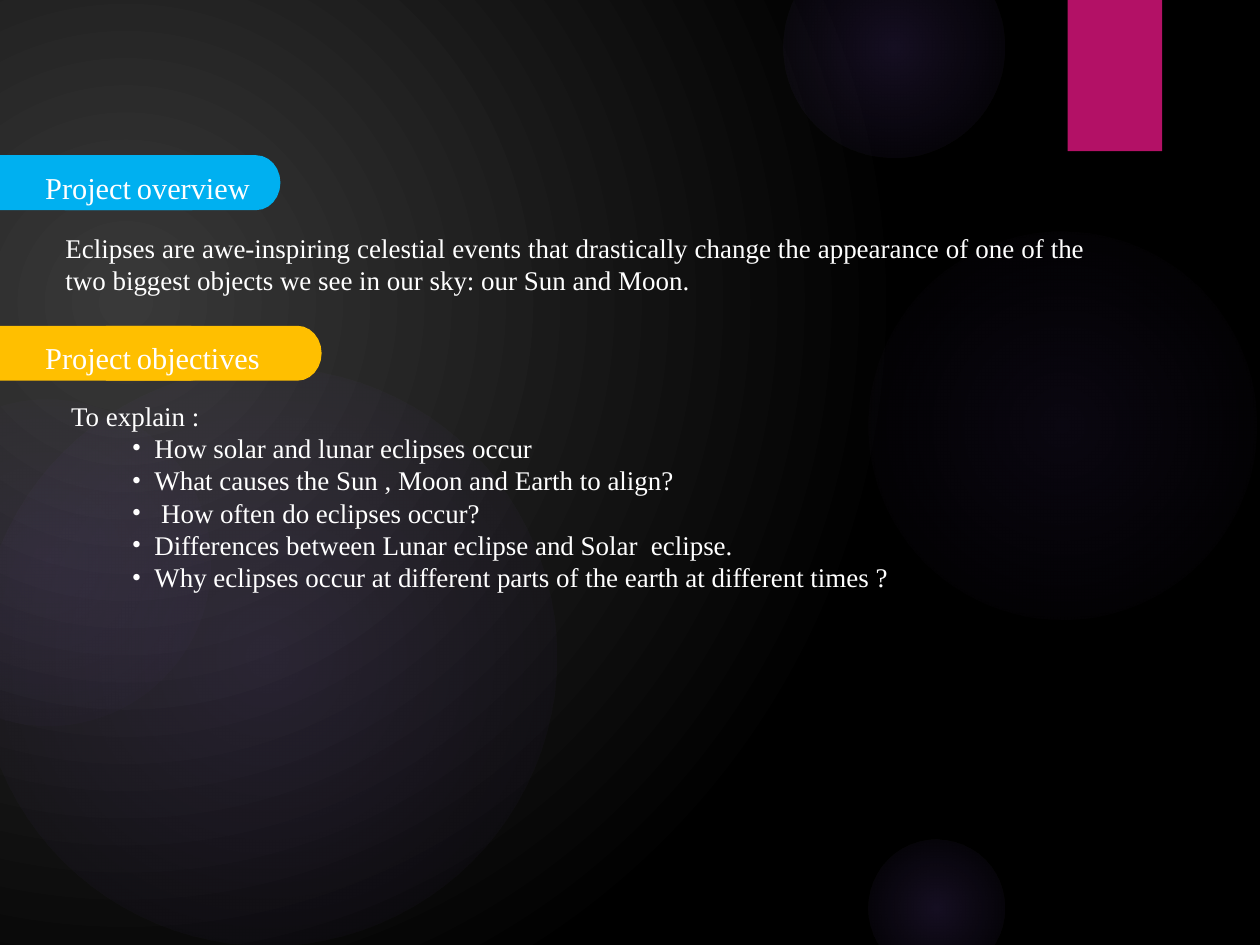
from math import cos, pi, sin

from lxml import etree
from pptx import Presentation
from pptx.dml.color import RGBColor
from pptx.enum.shapes import MSO_SHAPE
from pptx.enum.text import MSO_ANCHOR, MSO_AUTO_SIZE, PP_ALIGN
from pptx.oxml import parse_xml
from pptx.oxml.ns import nsdecls, qn
from pptx.util import Inches, Pt

OVAL, RECT = MSO_SHAPE.OVAL, MSO_SHAPE.RECTANGLE
LEFT, JUST = PP_ALIGN.LEFT, PP_ALIGN.JUSTIFY
TOP, FIXED = MSO_ANCHOR.TOP, MSO_AUTO_SIZE.NONE
FONT = "Times New Roman"
HEX = {"grey": "393939", "black": "000000", "glow": "9B6BF2",
       "pink": "B31166", "blue": "00B0F0", "gold": "FFBF00",
       "white": "FFFFFF"}


def radial(props, stops, rect):
    """Swap the solid fill in props for a circular gradient.

    Stops are (colour, opacity %) pairs; rect is left, top, right, bottom in %.
    """
    marks = "".join(
        f'<a:gs pos="{i * 100000}"><a:srgbClr val="{HEX[name]}">'
        f'<a:alpha val="{alpha * 1000}"/></a:srgbClr></a:gs>'
        for i, (name, alpha) in enumerate(stops))
    l, t, r, b = (1000 * side for side in rect)
    grad = parse_xml(
        f'<a:gradFill {nsdecls("a")} rotWithShape="1"><a:gsLst>{marks}</a:gsLst>'
        f'<a:path path="circle"><a:fillToRect l="{l}" t="{t}" r="{r}" b="{b}"/>'
        '</a:path></a:gradFill>')
    props.replace(props.find(qn("a:solidFill")), grad)


def write(box, place, paras, size):
    """Place a text shape and fill it; each paragraph is a list of words runs."""
    box.left, box.top, box.width, box.height = map(Inches, place)
    frame = box.text_frame
    frame.word_wrap, frame.auto_size = True, FIXED
    frame.vertical_anchor = TOP
    frame.margin_left = frame.margin_right = 0
    frame.margin_top = frame.margin_bottom = 0
    for i, runs in enumerate(paras):
        para = frame.paragraphs[0] if i == 0 else frame.add_paragraph()
        para.alignment = LEFT
        para.space_before = Pt(0)
        props = para._p.get_or_add_pPr()
        if i:
            para.level = 1
            props.set("marL", str(Inches(1.04)))
            props.set("indent", str(Inches(-0.28)))
            tint = etree.SubElement(props, qn("a:buClr"))
            etree.SubElement(tint, qn("a:srgbClr"), val=HEX["white"])
            etree.SubElement(props, qn("a:buFont"), typeface=FONT)
            etree.SubElement(props, qn("a:buChar"), char="•")
        else:
            props.set("marL", str(Inches(0.01)))
            props.set("indent", "0")
            etree.SubElement(props, qn("a:buNone"))
        for text in runs:
            run = para.add_run()
            run.text = text
            run.font.name = FONT
            run.font.size = Pt(21 if text == " " else size)
            run.font.color.rgb = RGBColor.from_string(HEX["white"])


prs = Presentation()
prs.slide_width, prs.slide_height = Inches(15.59), Inches(11.69)
slide = prs.slides.add_slide(prs.slide_layouts[1])
shapes = slide.shapes
title, body = slide.placeholders

# Dark backdrop with soft glowing discs
slide.background.fill.solid()
radial(slide.element.find(".//" + qn("p:bgPr")),
       [("grey", 100), ("black", 100)], (10, 32, 90, 68))
discs = [(10.74, 2.86, 4.81, 7), (9.7, -0.78, 2.73, 14),
         (10.74, 10.39, 1.69, 14), (-0.26, 4.55, 7.15, 11),
         (-1.43, 4.94, 4.03, 8)]
for x, y, size, alpha in discs:
    disc = shapes.add_shape(OVAL, Inches(x), Inches(y), Inches(size), Inches(size))
    disc.shadow.inherit = False
    disc.line.fill.background()
    disc.fill.solid()
    radial(disc.element.spPr, [("glow", alpha), ("glow", 0)], (50, 50, 50, 50))

flag = shapes.add_shape(RECT, Inches(13.21), 0, Inches(1.17), Inches(1.87))
flag.shadow.inherit = False
flag.line.fill.background()
flag.fill.solid()
flag.fill.fore_color.rgb = RGBColor.from_string(HEX["pink"])

# Heading tabs: two overlapping pieces each, with a rounded right end
wide, high, bend = 2.67, 0.68, 0.3
tabs = [(0, 1.92, "blue"), (0.8, 1.92, "blue"),
        (-0.02, 4.03, "gold"), (1.31, 4.03, "gold")]
for x, y, name in tabs:
    turns = [pi * (i / 12 - 0.5) for i in range(13)]
    curve = [(Inches(x + wide - bend + bend * cos(a)),
              Inches(y + high / 2 + high / 2 * sin(a))) for a in turns]
    pen = shapes.build_freeform(Inches(x), Inches(y))
    pen.add_line_segments(curve + [(Inches(x), Inches(y + high))], close=True)
    tab = pen.convert_to_shape()
    tab.shadow.inherit = False
    tab.line.fill.background()
    tab.fill.solid()
    tab.fill.fore_color.rgb = RGBColor.from_string(HEX[name])

# Text, in front of the tabs
for holder in (title, body):
    shapes.element.append(holder.element)
write(title, (0.55, 2.09, 2.94, 0.46), [["Project", " ", "overview"]], 27)

about = shapes.add_textbox(0, 0, 0, 0)
write(about, (0.8, 2.86, 12.62, 0.8),
      [["Eclipses are awe-inspiring celestial events that drastically change "
        "the appearance of one of the two biggest objects we see in our sky: "
        "our Sun and Moon."]], 24)
about.text_frame.paragraphs[0].alignment = JUST

goals = ["To explain :",
         "How solar and lunar eclipses occur",
         "What causes the Sun , Moon and Earth to align?",
         " How often do eclipses occur?",
         "Differences between Lunar eclipse and Solar  eclipse.",
         "Why eclipses occur at different parts of the earth at different times ?"]
write(body, (0.87, 4.94, 10.74, 2.41), [[goal] for goal in goals], 24)

label = shapes.add_textbox(0, 0, 0, 0)
write(label, (0.55, 4.2, 3.94, 0.46), [["Project", " ", "objectives"]], 27)

prs.save("out.pptx")
